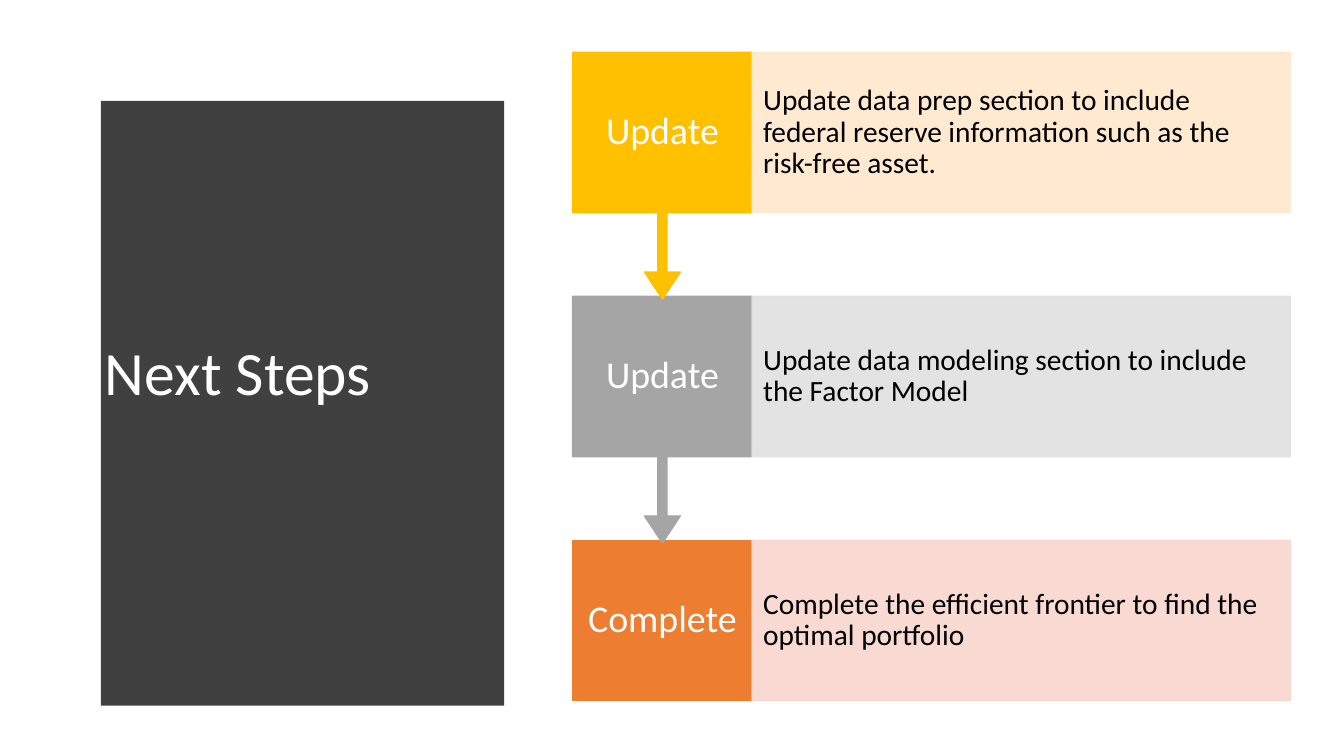
import pptx
import pptx.util
import pptx.dml.color
import pptx.enum.shapes
import pptx.enum.text
import pptx.oxml.ns
import lxml.etree

Inches = pptx.util.Inches
Kind = pptx.enum.shapes.MSO_SHAPE
Align = pptx.enum.text.PP_ALIGN

HEAD = "Next Steps"
STEPS = [
    ("Update", "FFC000", "FFE8CC",
     "Update data prep section to include federal reserve information such as the risk-free asset."),
    ("Update", "A5A5A5", "E1E1E1",
     "Update data modeling section to include the Factor Model"),
    ("Complete", "ED7D31", "F8D7CE",
     "Complete the efficient frontier to find the optimal portfolio"),
]
FONT, WHITE, BLACK, DARK = "Calibri", "FFFFFF", "000000", "404040"
TOP, PITCH, TALL = 0.52, 2.42, 1.59
LEFT, WIDE, SIDE = 5.68, 1.78, 5.34
ARROW = (0.05, 0.1, 0.15, 0.65)
EDGE, END, PEAK, MID, BASE = 0.53, 5.08, 5.32, 3.6, 6.96
COUNT = 40


def rgb(code):
    return pptx.dml.color.RGBColor.from_string(code)


def write(shape, text, size, color, align, pad):
    frame = shape.text_frame
    frame.text = text
    frame.word_wrap = True
    frame.auto_size = pptx.enum.text.MSO_AUTO_SIZE.NONE
    frame.vertical_anchor = pptx.enum.text.MSO_ANCHOR.MIDDLE
    frame.margin_left = frame.margin_right = Inches(pad[0])
    frame.margin_top = frame.margin_bottom = Inches(pad[1])
    para = frame.paragraphs[0]
    para.alignment = align
    para.line_spacing = 0.9
    font = para.runs[0].font
    font.name = FONT
    font.size = pptx.util.Pt(size)
    font.color.rgb = rgb(color)


def paint(shape, color):
    shape.shadow.inherit = False
    shape.fill.solid()
    shape.fill.fore_color.rgb = rgb(color)
    shape.line.color.rgb = rgb(color)
    shape.line.width = pptx.util.Pt(1)


def fade(shape, part):
    qn = pptx.oxml.ns.qn
    for node in shape.element.spPr.iter(qn("a:srgbClr")):
        lxml.etree.SubElement(node, qn("a:alpha")).set("val", str(part * 1000))


def bulge(y):
    half = MID - TOP if y < MID else BASE - MID
    return PEAK - (PEAK - END) * ((y - MID) / half) ** 2


def main():
    deck = pptx.Presentation()
    deck.slide_width, deck.slide_height = Inches(13.33), Inches(7.5)
    slide = deck.slides.add_slide(deck.slide_layouts[5])
    shapes = slide.shapes

    rows = [TOP + (BASE - TOP) * i / COUNT for i in range(COUNT + 1)]
    path = shapes.build_freeform(EDGE, TOP, scale=Inches(1))
    path.add_line_segments([(bulge(y), y) for y in rows] + [(EDGE, BASE)])
    panel = path.convert_to_shape()
    paint(panel, DARK)
    panel.line.fill.background()

    title = shapes.title
    title.element.addprevious(panel.element)
    title.left, title.top = Inches(0.94), Inches(1.11)
    title.width, title.height = Inches(3.74), Inches(5.24)
    write(title, HEAD, 44, WHITE, Align.LEFT, (0.1, 0.05))

    for i, (name, deep, pale, note) in reversed(list(enumerate(STEPS))):
        last = i == len(STEPS) - 1
        kind = Kind.RECTANGLE if last else Kind.DOWN_ARROW_CALLOUT
        tall = TALL if last else TALL / ARROW[3]
        top = Inches(TOP + i * PITCH)
        box = shapes.add_shape(kind, Inches(LEFT), top, Inches(WIDE), Inches(tall))
        if not last:
            for k, value in enumerate(ARROW):
                box.adjustments[k] = value
        paint(box, deep)
        write(box, name, 27, WHITE, Align.CENTER, (0.13, 0.21))

        bar = shapes.add_shape(Kind.RECTANGLE, Inches(LEFT + WIDE), top,
                               Inches(SIDE), Inches(TALL))
        paint(bar, pale)
        fade(bar, 90)
        write(bar, note, 21, BLACK, Align.LEFT, (0.11, 0.29))

    deck.save("out.pptx")


if __name__ == "__main__":
    main()
